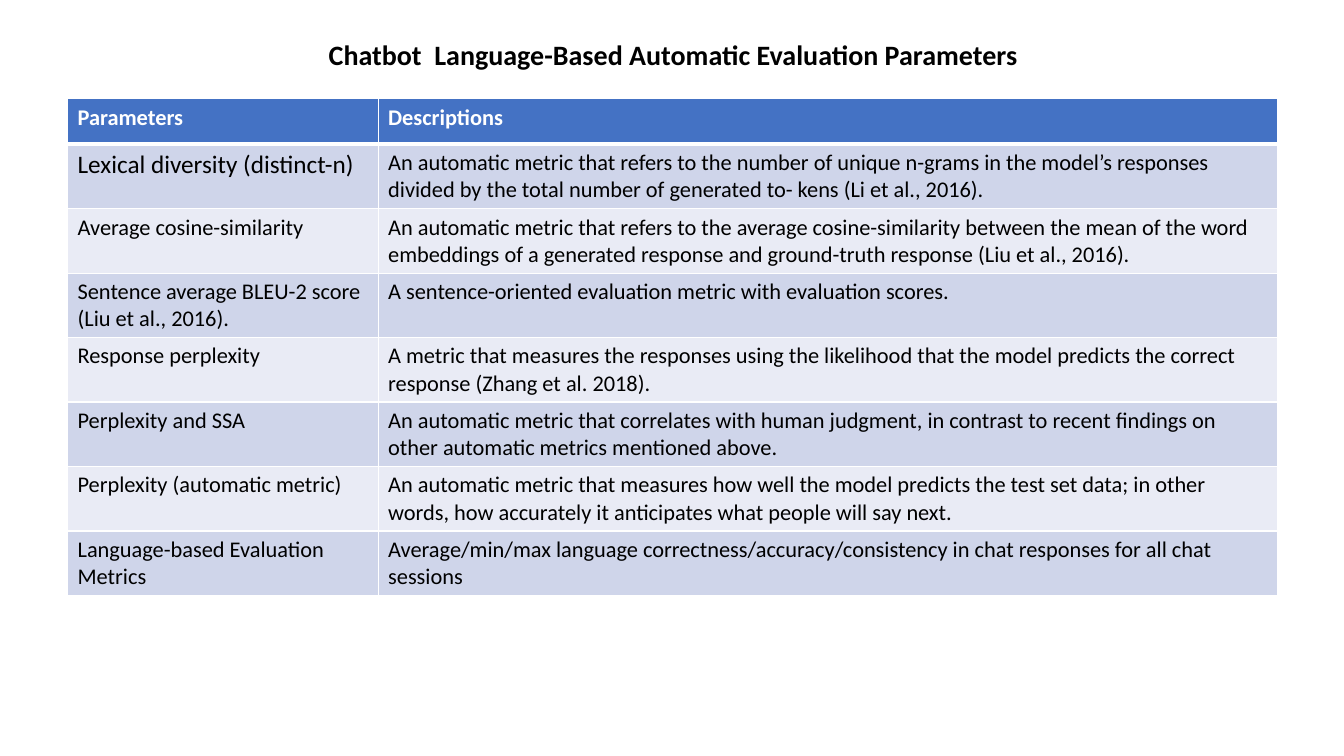
"""Build a slide with a table of automatic chatbot evaluation parameters."""
from dataclasses import dataclass

from lxml.etree import SubElement
from pptx import Presentation
from pptx.dml.color import RGBColor
from pptx.enum.text import MSO_ANCHOR, MSO_AUTO_SIZE, PP_ALIGN
from pptx.oxml.ns import qn
from pptx.util import Emu, Pt

COLORS = {
    "black": "000000",
    "white": "FFFFFF",
    "head": "4472C4",
    "odd": "CFD5EA",
    "even": "E9EBF5",
}
WIDTHS = (308, 892)
HEAD = 45
BODY = 64


@dataclass
class Entry:
    """One table row: a parameter, its description and the name's text size."""

    name: str
    text: str
    size: int = 16


ENTRIES = [
    Entry("Parameters", "Descriptions"),
    Entry("Lexical diversity (distinct-n)",
          "An automatic metric that refers to the number of unique n-grams in the model’s "
          "responses divided by the total number of generated to- kens (Li et al., 2016).", 18),
    Entry("Average cosine-similarity",
          "An automatic metric that refers to the average cosine-similarity between the mean "
          "of the word embeddings of a generated response and ground-truth response "
          "(Liu et al., 2016)."),
    Entry("Sentence average BLEU-2 score (Liu et al., 2016).",
          "A sentence-oriented evaluation metric with evaluation scores."),
    Entry("Response perplexity",
          "A metric that measures the responses using the likelihood that the model predicts "
          "the correct response (Zhang et al. 2018)."),
    Entry("Perplexity and SSA",
          "An automatic metric that correlates with human judgment, in contrast to recent "
          "findings on other automatic metrics mentioned above."),
    Entry("Perplexity (automatic metric)",
          "An automatic metric that measures how well the model predicts the test set data; "
          "in other words, how accurately it anticipates what people will say next."),
    Entry("Language-based Evaluation Metrics",
          "Average/min/max language correctness/accuracy/consistency in chat responses "
          "for all chat sessions"),
]


def px(count: int) -> Emu:
    """Turn px, at 100 to the inch, into EMU."""
    return Emu(count * 9144)


def write(frame, text: str, *, size: int = 16, color: str = "black",
          bold: bool = False, line: float = 1.0, before: int = 0) -> None:
    """Put one formatted paragraph into a text frame."""
    para = frame.paragraphs[0]
    para.alignment = PP_ALIGN.LEFT
    para.line_spacing = line
    para.space_before = Pt(before)
    run = para.add_run()
    run.text = text
    run.font.name = "Calibri"
    run.font.size = Pt(size)
    run.font.bold = bold
    run.font.color.rgb = RGBColor.from_string(COLORS[color])


def border(cell, top: int, bottom: int) -> None:
    """Give a cell white borders, with top and bottom widths in points."""
    props = cell._tc.get_or_add_tcPr()
    for side, width in (("L", 1), ("R", 1), ("T", top), ("B", bottom)):
        edge = SubElement(props, qn(f"a:ln{side}"), w=str(Pt(width)))
        fill = SubElement(edge, qn("a:solidFill"))
        SubElement(fill, qn("a:srgbClr"), val=COLORS["white"])


def add_title(slide) -> None:
    """Place and fill the title."""
    title = slide.shapes.title
    title.left, title.top, title.width, title.height = map(px, (316, 19, 721, 53))
    frame = title.text_frame
    frame.word_wrap = True
    frame.auto_size = MSO_AUTO_SIZE.SHAPE_TO_FIT_TEXT
    frame.vertical_anchor = MSO_ANCHOR.TOP
    write(frame, "Chatbot  Language-Based Automatic Evaluation Parameters",
          size=20, bold=True, line=1.39, before=15)


def add_grid(slide) -> None:
    """Draw the table of parameters."""
    total = HEAD + BODY * (len(ENTRIES) - 1)
    table = slide.shapes.add_table(len(ENTRIES), len(WIDTHS), px(67), px(98),
                                   px(sum(WIDTHS)), px(total)).table
    for col, width in zip(table.columns, WIDTHS):
        col.width = px(width)
    for i, entry in enumerate(ENTRIES):
        head = i == 0
        table.rows[i].height = px(HEAD if head else BODY)
        shade = "head" if head else "odd" if i % 2 else "even"
        for j, (text, size) in enumerate(((entry.name, entry.size), (entry.text, 16))):
            cell = table.cell(i, j)
            border(cell, 3 if i == 1 else 1, 3 if head else 1)
            cell.fill.solid()
            cell.fill.fore_color.rgb = RGBColor.from_string(COLORS[shade])
            write(cell.text_frame, text, size=size, bold=head,
                  color="white" if head else "black")


def main() -> None:
    """Build and save the slide."""
    deck = Presentation()
    deck.slide_width, deck.slide_height = px(1333), px(750)
    slide = deck.slides.add_slide(deck.slide_layouts.get_by_name("Title Only"))
    add_grid(slide)
    add_title(slide)
    deck.save("out.pptx")


if __name__ == "__main__":
    main()
